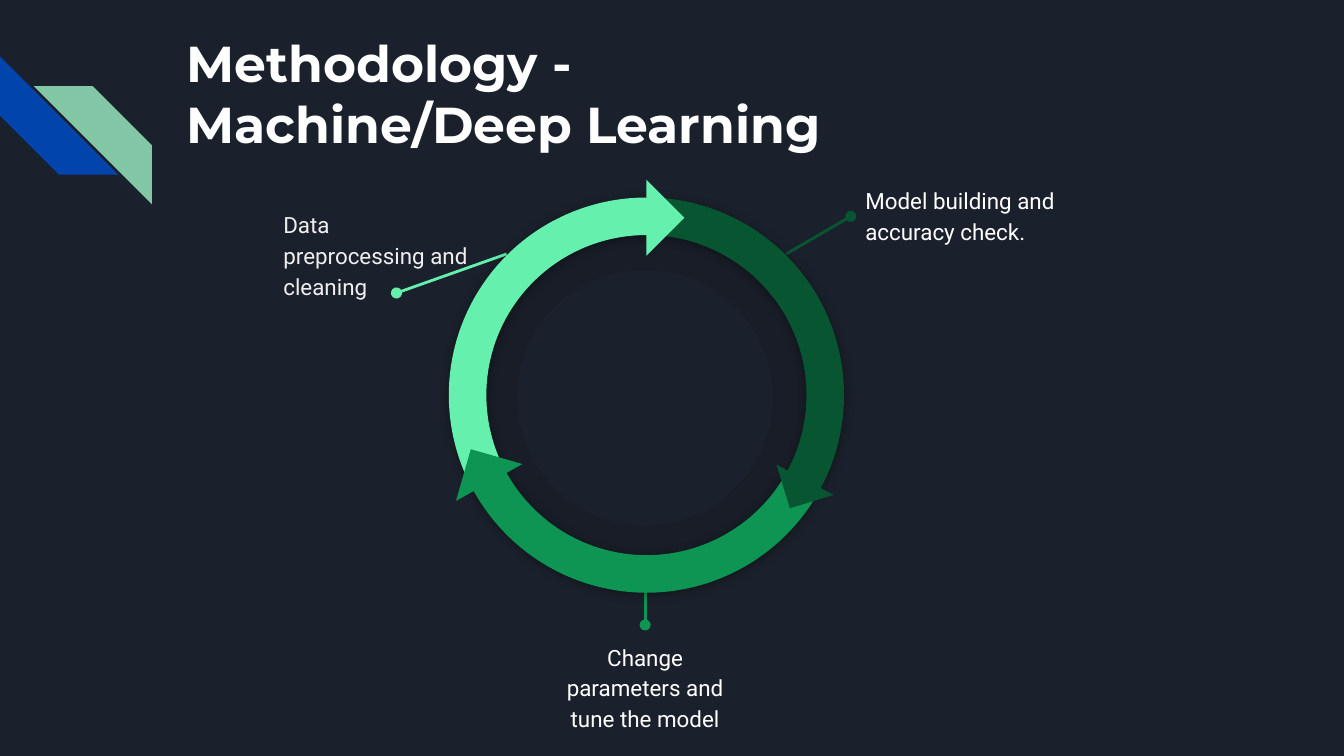
from lxml.etree import SubElement
from pptx import Presentation
from pptx.dml.color import RGBColor
from pptx.enum.shapes import MSO_CONNECTOR, MSO_SHAPE
from pptx.enum.text import PP_ALIGN
from pptx.oxml import parse_xml
from pptx.oxml.ns import nsdecls, qn
from pptx.util import Inches, Pt

COLORS = {
    "background": "1B212C", "blue": "0145AC", "sage": "82C7A5",
    "white": "FFFFFF", "pale": "EFEFEF", "black": "000000",
    "light": "65F0AD", "middle": "0E9453", "dark": "085631",
}
SHADOW = (
    f'<a:effectLst {nsdecls("a")}><a:outerShdw blurRad="{Pt(5.6)}" dist="{Pt(0.8)}" '
    f'dir="5400000" algn="bl" rotWithShape="0"><a:srgbClr val="{COLORS["black"]}">'
    '<a:alpha val="40000"/></a:srgbClr></a:outerShdw></a:effectLst>'
)

presentation = Presentation()
presentation.slide_width = Inches(10)
presentation.slide_height = Inches(10 * 9 / 16)
slide = presentation.slides.add_slide(presentation.slide_layouts[6])
slide.background.fill.solid()
slide.background.fill.fore_color.rgb = RGBColor.from_string(COLORS["background"])


def add_figure(kind, left, top, size, color, rotation=0, flip=False, adjustments=()):
    shape = slide.shapes.add_shape(kind, Inches(left), Inches(top), Inches(size), Inches(size))
    shape.shadow.inherit = False
    shape.fill.solid()
    shape.fill.fore_color.rgb = RGBColor.from_string(COLORS[color])
    shape.line.fill.background()
    shape.rotation = rotation
    for index, value in enumerate(adjustments):
        shape.adjustments[index] = value
    if flip:
        shape._element.spPr.find(qn("a:xfrm")).set("flipH", "1")
    return shape


def add_text(left, top, width, height, lines, font, size, color, bold=False,
             alignment=PP_ALIGN.LEFT, spacing=1.0):
    box = slide.shapes.add_textbox(Inches(left), Inches(top), Inches(width), Inches(height))
    frame = box.text_frame
    frame.word_wrap = True
    frame.margin_left = frame.margin_right = Inches(0.1)
    frame.margin_top = frame.margin_bottom = Inches(0.1)
    frame.text = "\n".join(lines)
    for paragraph in frame.paragraphs:
        paragraph.alignment = alignment
        paragraph.line_spacing = spacing
        paragraph.font.name = font
        paragraph.font.size = Pt(size)
        paragraph.font.bold = bold
        paragraph.font.color.rgb = RGBColor.from_string(COLORS[color])


# Corner stripes
add_figure(MSO_SHAPE.DIAGONAL_STRIPE, 0, 0.42, 0.88, "blue", 270, adjustments=[0.5])
add_figure(MSO_SHAPE.DIAGONAL_STRIPE, 0.25, 0.64, 0.88, "sage", flip=True, adjustments=[0.5])

# Title
add_text(1.29, 0.14, 7.7, 1, ["Methodology -", "Machine/Deep Learning"],
         "Montserrat", 27, "white", bold=True)

# Faint ring inside the cycle
ring = add_figure(MSO_SHAPE.DONUT, 3.4, 1.56, 2.8, "black", adjustments=[0.16])
ring_color = ring._element.spPr.find(qn("a:solidFill"))[0]
SubElement(ring_color, qn("a:alpha")).set("val", "11000")

# Callouts: line from its dot to the cycle, then the step's text
callouts = [
    ((2.95, 2.18), (3.77, 1.89), "light", (2.01, 1.44), "pale", PP_ALIGN.LEFT,
     "Data preprocessing and cleaning"),
    ((6.33, 1.61), (5.85, 1.89), "dark", (6.34, 1.26), "white", PP_ALIGN.LEFT,
     "Model building and accuracy check."),
    ((4.8, 4.65), (4.8, 4.15), "middle", (3.99, 4.66), "white", PP_ALIGN.CENTER,
     "Change parameters and tune the model"),
]
for dot, end, line_color, corner, text_color, alignment, text in callouts:
    connector = slide.shapes.add_connector(
        MSO_CONNECTOR.STRAIGHT, *[Inches(value) for value in dot + end])
    connector.line.color.rgb = RGBColor.from_string(COLORS[line_color])
    connector.line.width = Pt(1.5)
    SubElement(connector.line._get_or_add_ln(), qn("a:headEnd")).set("type", "oval")
    SubElement(connector._element.spPr, qn("a:effectLst"))
    add_text(*corner, 1.62, 0.73, [text], "Roboto", 12, text_color,
             alignment=alignment, spacing=1.15)

# Cycle arcs: start angle, end angle, thickness
thickness = 9.5 / 100
arcs = [
    ("dark", 30, False, 144.14, 0.01),
    ("light", 330, True, 143.49, 214.73),
    ("middle", 210, True, 143.16, 215.03),
]
for color, rotation, flip, start, end in arcs:
    arc = add_figure(MSO_SHAPE.BLOCK_ARC, 3.34, 1.47, 2.94, color, rotation, flip,
                     [start, end, thickness])
    properties = arc._element.spPr
    properties.replace(properties.find(qn("a:effectLst")), parse_xml(SHADOW))

# Arrowheads of the cycle
for left, top, size, color, rotation in [
    (4.61, 1.42, 0.4, "light", 225),
    (5.82, 3.4, 0.34, "dark", 342.9),
    (3.44, 3.39, 0.4, "middle", 106),
]:
    add_figure(MSO_SHAPE.RIGHT_TRIANGLE, left, top, size, color, rotation)

presentation.save("out.pptx")
